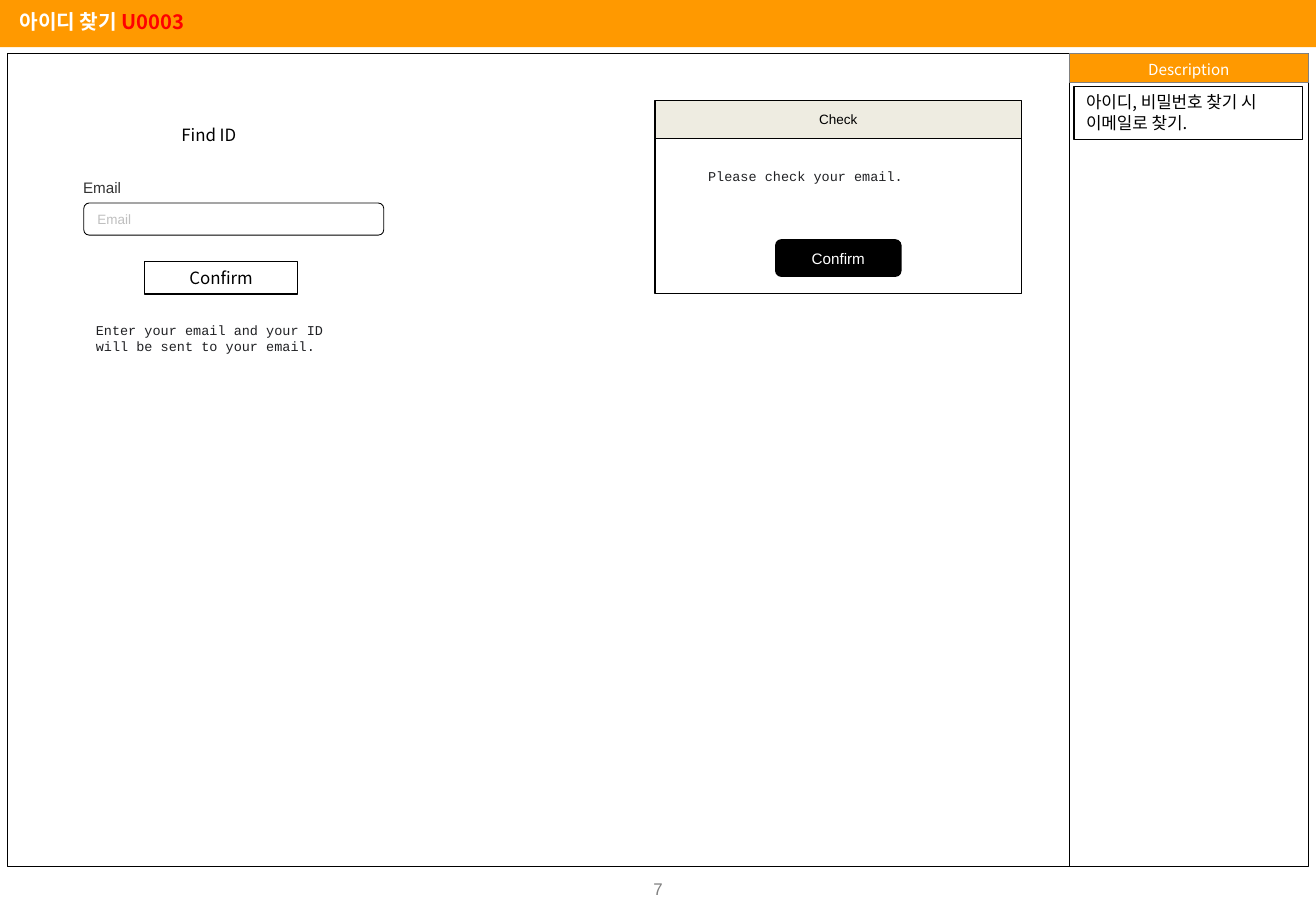
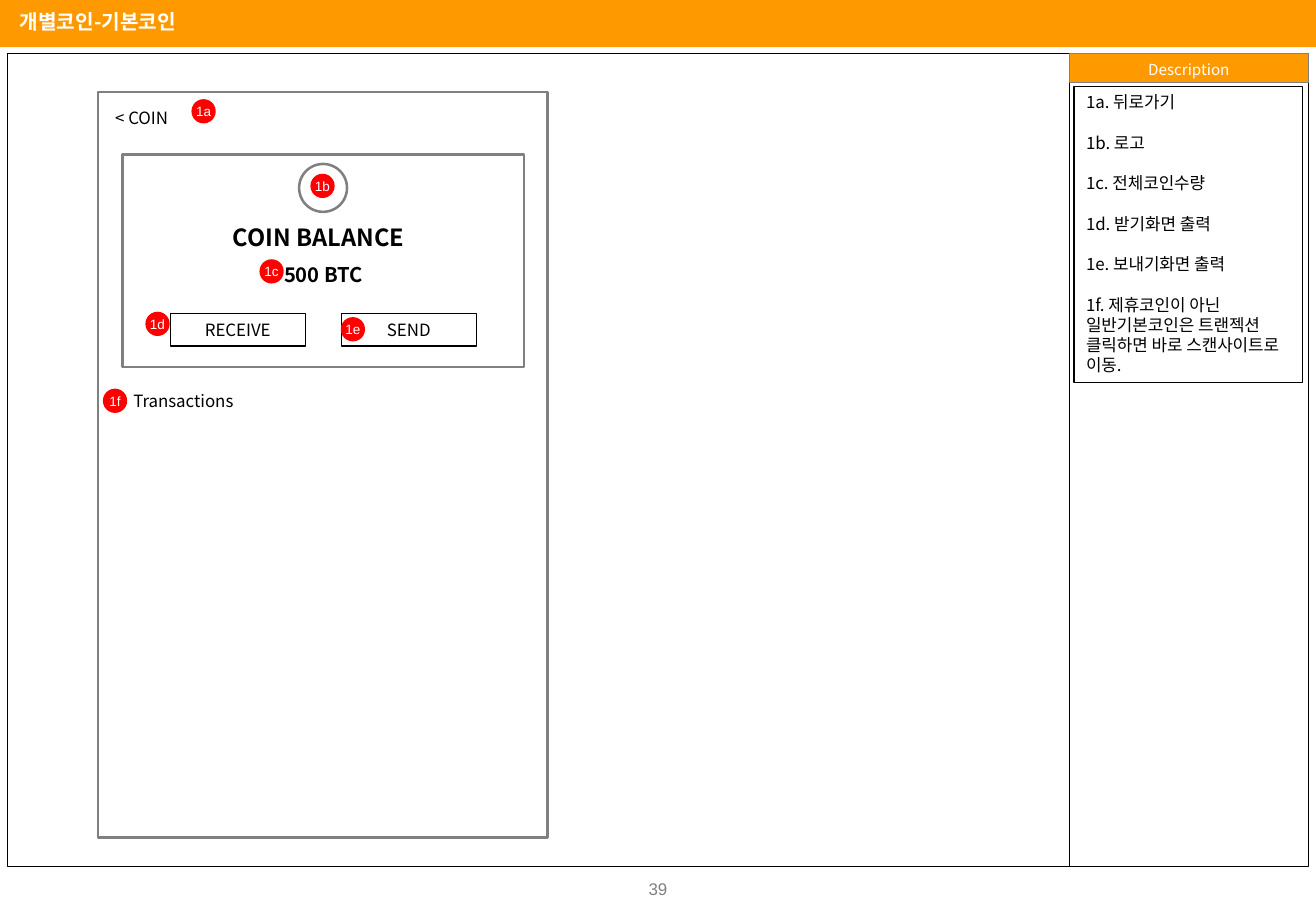
import pptx
import pptx.dml.color
import pptx.enum.shapes
import pptx.enum.text
import pptx.util
from lxml import etree

Pt = pptx.util.Pt
SHAPE = pptx.enum.shapes.MSO_SHAPE
ALIGN = pptx.enum.text.PP_ALIGN
ANCHOR = pptx.enum.text.MSO_ANCHOR

NOTO, ARIAL, COURIER = "Noto Sans CJK KR", "Arial", "Courier New"
ORANGE, RED, GRAY = "FF9900", "FF0000", "808080"
BLACK, WHITE, INK = "000000", "FFFFFF", "202124"

PAGE_WIDTH, PAGE_HEIGHT = 780, 540
BAND_HEIGHT = 28
FRAME_LEFT, FRAME_TOP, FRAME_HEIGHT = 4.5, 31.7, 481.8
CANVAS_WIDTH, SIDE_WIDTH = 629.3, 141.6
SIDE_LEFT = FRAME_LEFT + CANVAS_WIDTH
SIDE_HEADER_HEIGHT = 17.2
NOTE_LINE = 12
BADGE_SIZE = 14.4


def color(value):
    """Turn a hex string into a colour."""
    return pptx.dml.color.RGBColor.from_string(value)


def write(box, text, size=10, font=NOTO, ink=BLACK, bold=False, align=ALIGN.LEFT,
          anchor=ANCHOR.TOP, gap=0, margins=(7.2, 3.6)):
    """Fill a box with a string, or with paragraphs of strings or (text, colour) spans."""
    frame = box.text_frame
    frame.word_wrap = True
    frame.auto_size = pptx.enum.text.MSO_AUTO_SIZE.NONE
    frame.vertical_anchor = anchor
    frame.margin_left = frame.margin_right = Pt(margins[0])
    frame.margin_top = frame.margin_bottom = Pt(margins[1])
    for index, content in enumerate([text] if isinstance(text, str) else text):
        para = frame.add_paragraph() if index else frame.paragraphs[0]
        para.alignment = align
        para.space_before = Pt(gap if index else 0)
        if font == NOTO:
            para.line_spacing = Pt(1.2 * size)
        for words, tint in [(content, ink)] if isinstance(content, str) else content:
            span = para.add_run()
            span.text = words
            span.font.name, span.font.size, span.font.bold = font, Pt(size), bold
            span.font.color.rgb = color(tint)
            latin = span.font._element.find(pptx.oxml.ns.qn("a:latin"))
            east_asian = etree.Element(pptx.oxml.ns.qn("a:ea"), typeface=font)
            latin.addnext(east_asian)


def add_panel(page, left, top, width, height, kind=SHAPE.RECTANGLE, fill=None,
              line=BLACK, weight=0.0):
    """Add a preset shape with an optional fill and outline."""
    panel = page.shapes.add_shape(kind, Pt(left), Pt(top), Pt(width), Pt(height))
    panel.shadow.inherit = False
    if fill:
        panel.fill.solid()
        panel.fill.fore_color.rgb = color(fill)
    else:
        panel.fill.background()
    if line:
        panel.line.color.rgb = color(line)
        panel.line.width = Pt(weight)
    else:
        panel.line.fill.background()
    return panel


def add_label(page, text, left, top, width, height, **style):
    """Add a text box."""
    box = page.shapes.add_textbox(Pt(left), Pt(top), Pt(width), Pt(height))
    write(box, text, **style)


def add_button(page, text, left, top, width):
    """Add an outlined button with a centred caption."""
    write(add_panel(page, left, top, width, 19.4, weight=0.75), text, align=ALIGN.CENTER)


def add_badge(page, text, left, top):
    """Add a red round marker."""
    badge = add_panel(page, left, top, BADGE_SIZE, BADGE_SIZE, SHAPE.OVAL, RED, None)
    write(badge, text, size=8, font=ARIAL, ink=WHITE, align=ALIGN.CENTER,
          anchor=ANCHOR.MIDDLE, margins=(0, 0))


def add_note(page, paragraphs, lines):
    """Add the description note, tall enough for its number of lines."""
    note = add_panel(page, 636.6, 51.1, 135.4, lines * NOTE_LINE + 7.8, weight=0.75)
    write(note, paragraphs, gap=NOTE_LINE)


def move_frame_to_layout(page):
    """Draw the shared band and frame, and move them to the layout of the page."""
    band = add_panel(page, 0, 0, PAGE_WIDTH, BAND_HEIGHT, fill=ORANGE, line=None)
    canvas = add_panel(page, FRAME_LEFT, FRAME_TOP, CANVAS_WIDTH, FRAME_HEIGHT)
    side = add_panel(page, SIDE_LEFT, FRAME_TOP, SIDE_WIDTH, FRAME_HEIGHT)
    header = add_panel(page, SIDE_LEFT, FRAME_TOP, SIDE_WIDTH, SIDE_HEADER_HEIGHT,
                       fill=ORANGE, line=GRAY)
    write(header, "Description", size=9, ink=WHITE, align=ALIGN.CENTER,
          anchor=ANCHOR.MIDDLE, margins=(7.2, 0))
    header.text_frame.margin_top = Pt(2)
    for shape in (band, canvas, side, header):
        page.slide_layout.shapes.element.append(shape.element)


def add_page(deck, title, number):
    """Add a page with its title and page number."""
    page = deck.slides.add_slide(deck.slide_layouts[5])
    heading = page.shapes.title
    heading.left, heading.top, heading.width, heading.height = Pt(4.4), Pt(2), Pt(200), Pt(21.6)
    write(heading, [title], size=12, bold=True)
    add_label(page, number, 370, 511, 40, 32, font=ARIAL, ink=GRAY,
              align=ALIGN.CENTER, anchor=ANCHOR.MIDDLE)
    return page


def build_find_id(page):
    """Draw the form that finds an ID and its confirmation dialog."""
    add_label(page, "Find ID", 44.6, 70.6, 158.4, 19.4, align=ALIGN.CENTER)
    add_label(page, "Email", 42.2, 102.2, 185, 18, size=9, font=ARIAL, ink="333333")
    field = add_panel(page, 49.7, 120.4, 177.8, 19, SHAPE.ROUNDED_RECTANGLE, weight=0.5)
    write(field, "Email", size=8, font=ARIAL, ink="BFBFBF", anchor=ANCHOR.MIDDLE)
    add_button(page, "Confirm", 85.6, 155, 90.8)
    add_label(page, "Enter your email and your ID will be sent to your email.",
              49.7, 187.2, 171.4, 26.6, size=8, font=COURIER, ink=INK)

    dialog_left, dialog_width = 388.3, 217.2
    caption = add_panel(page, dialog_left, 59.5, dialog_width, 22.5, fill="EEECE1")
    write(caption, "Check", size=8, font=ARIAL, align=ALIGN.CENTER, anchor=ANCHOR.MIDDLE)
    add_panel(page, dialog_left, 82, dialog_width, 92)
    add_label(page, "Please check your email.", 412.6, 95.8, 182.2, 17.3,
              size=8, font=COURIER, ink=INK)
    confirm = add_panel(page, 459.4, 141.8, 75, 22.4, SHAPE.ROUNDED_RECTANGLE, BLACK, None)
    write(confirm, "Confirm", size=9, font=ARIAL, ink=WHITE, align=ALIGN.CENTER,
          anchor=ANCHOR.MIDDLE)
    add_note(page, ["아이디, 비밀번호 찾기 시 이메일로 찾기."], 2)


def build_coin(page):
    """Draw the coin screen with its numbered markers."""
    outline = {"fill": WHITE, "line": GRAY, "weight": 1.5}
    add_panel(page, 58.2, 54.6, 266.4, 442, **outline)
    add_panel(page, 72.7, 91.6, 238, 126, **outline)
    add_panel(page, 177.3, 97.2, 28.4, 28.4, SHAPE.OVAL, **outline)
    add_label(page, "< COIN", 61.2, 60.5, 137.5, 19.4)
    add_label(page, "COIN BALANCE", 131, 128.9, 121, 24.5, size=14, bold=True)
    add_label(page, "500 BTC", 161.3, 151.9, 72, 21.6, size=12, bold=True)
    for index, text in enumerate(("RECEIVE", "SEND")):
        add_button(page, text, 100.9 + 101.4 * index, 185.8, 80)
    add_label(page, "Transactions", 72, 228.2, 90, 19.4)
    add_note(page, ["1a. 뒤로가기", "1b. 로고", "1c. 전체코인수량", "1d. 받기화면 출력",
                    "1e. 보내기화면 출력",
                    "1f. 제휴코인이 아닌 일반기본코인은 트랜젝션 클릭하면 바로 스캔사이트로 이동."], 14)
    badges = {"1a": (113.5, 58.8), "1b": (184, 103), "1c": (153.8, 153.7),
              "1d": (86.2, 184.8), "1e": (202, 188), "1f": (61, 230.4)}
    for text, place in badges.items():
        add_badge(page, text, *place)


def main():
    """Build and save the deck."""
    deck = pptx.Presentation()
    deck.slide_width, deck.slide_height = Pt(PAGE_WIDTH), Pt(PAGE_HEIGHT)
    find_page = add_page(deck, [("아이디 찾기 ", WHITE), ("U0003", RED)], "7")
    move_frame_to_layout(find_page)
    build_find_id(find_page)
    build_coin(add_page(deck, [("개별코인-기본코인", WHITE)], "39"))
    deck.save("out.pptx")


if __name__ == "__main__":
    main()
